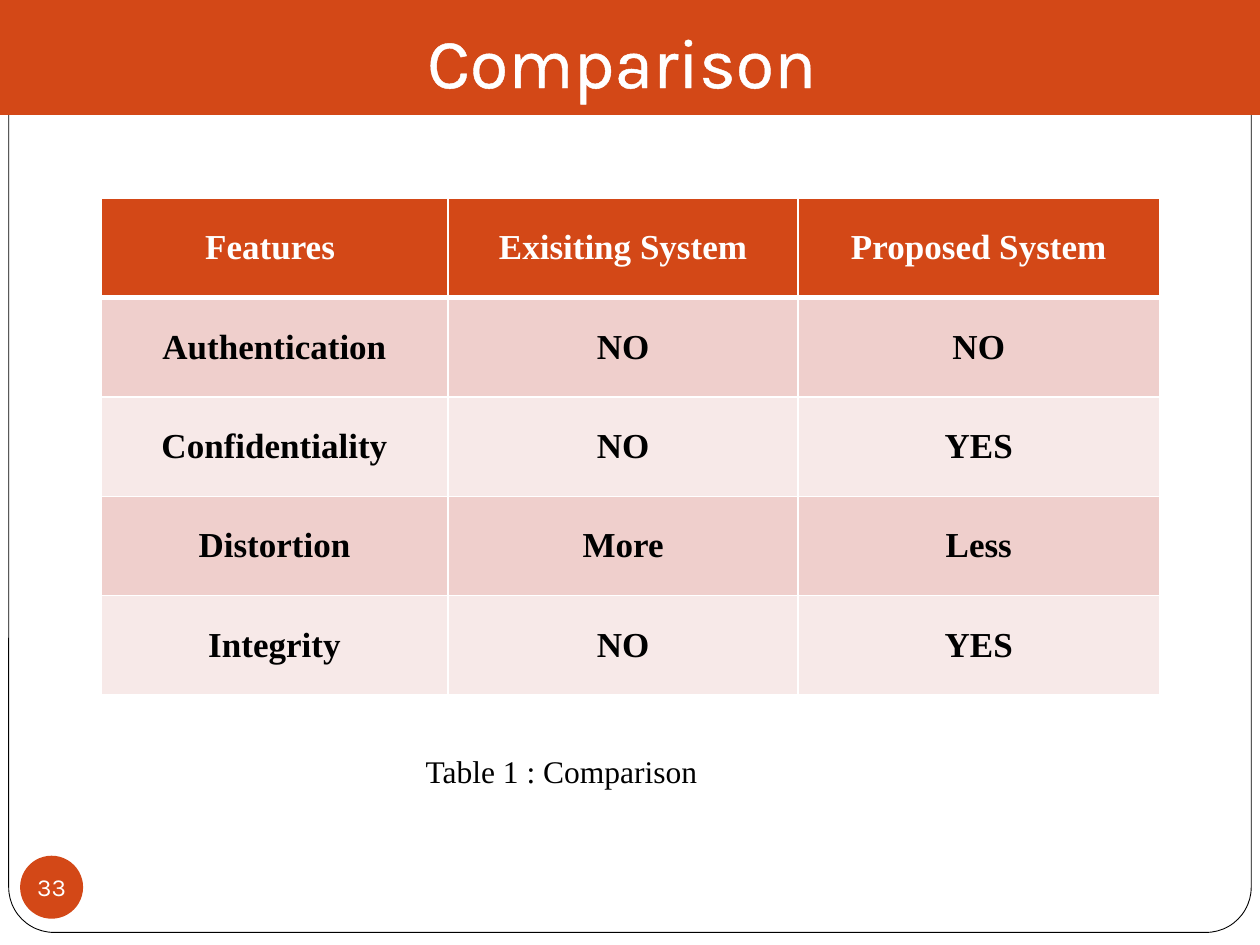
"""Build a slide with a table comparing the existing and proposed systems."""
from lxml import etree
from pptx import Presentation
from pptx import util as u
from pptx.dml import color
from pptx.enum import shapes, text
from pptx.oxml import ns

ORANGE, WHITE, BLACK = "D34817", "FFFFFF", "000000"
BANDS = ("EFCFCC", "F7E9E8")
SANS, SERIF = "Karla", "Times New Roman"
CENTER = text.PP_ALIGN.CENTER
MIDDLE = text.MSO_ANCHOR.MIDDLE

ROWS = (
    ("Features ", "Exisiting System", "Proposed System"),
    ("Authentication", "NO", "NO"),
    ("Confidentiality", "NO", "YES"),
    ("Distortion", "More", "Less"),
    ("Integrity", "NO", "YES"),
)


def rgb(value):
    return color.RGBColor.from_string(value)


def add_line(parent, tag, width, value, index):
    line = etree.Element(ns.qn(tag), w=str(u.Pt(width)))
    fill = etree.SubElement(line, ns.qn("a:solidFill"))
    etree.SubElement(fill, ns.qn("a:srgbClr"), val=value)
    parent.insert(index, line)


class Painter:
    def __init__(self, deck):
        self.page = deck.slides.add_slide(deck.slide_layouts[5])

    def place(self, shape, left, top, width, height):
        shape.left, shape.top = u.Pt(left), u.Pt(top)
        shape.width, shape.height = u.Pt(width), u.Pt(height)

    def paint(self, shape, fill, line=None, weight=0):
        shape.fill.solid()
        shape.fill.fore_color.rgb = rgb(fill)
        if line:
            shape.line.color.rgb = rgb(line)
            shape.line.width = u.Pt(weight)
        else:
            shape.line.fill.background()

    def add_words(self, frame, words, size, font, ink, bold=False, align=None):
        para = frame.paragraphs[0]
        para.alignment = align
        span = para.add_run()
        span.text = words
        span.font.size = u.Pt(size)
        span.font.name = font
        span.font.bold = bold
        span.font.color.rgb = rgb(ink)
        return span

    def inset(self, frame, left, top, right, bottom):
        frame.margin_left, frame.margin_top = u.Pt(left), u.Pt(top)
        frame.margin_right, frame.margin_bottom = u.Pt(right), u.Pt(bottom)

    def shape(self, kind, area, fill, line=None, weight=0):
        shape = self.page.shapes.add_shape(kind, *map(u.Pt, area))
        shape.shadow.inherit = False
        self.paint(shape, fill, line, weight)
        return shape

    def title(self, words, area):
        title = self.page.shapes.title
        self.place(title, *area)
        self.paint(title, ORANGE, ORANGE, 0.75)
        frame = title.text_frame
        frame.auto_size = text.MSO_AUTO_SIZE.NONE
        frame.vertical_anchor = text.MSO_ANCHOR.BOTTOM
        self.inset(frame, 7.2, 3.6, 7.2, 7.2)
        span = self.add_words(frame, words, 40, SANS, WHITE, align=CENTER)
        add_line(span._r.get_or_add_rPr(), "a:ln", 1.45, WHITE, 0)
        indent = frame.paragraphs[0]._p.get_or_add_pPr()
        indent.set("marL", str(u.Pt(21.6)))
        indent.set("indent", str(u.Pt(-21.6)))

    def frame(self, area):
        border = self.shape(shapes.MSO_SHAPE.ROUNDED_RECTANGLE, area, WHITE, BLACK, 0.5)
        border.adjustments[0] = 0.049
        self.page.shapes.title.element.addprevious(border.element)

    def badge(self, words, area):
        frame = self.shape(shapes.MSO_SHAPE.OVAL, area, ORANGE).text_frame
        frame.word_wrap = False
        frame.vertical_anchor = MIDDLE
        self.inset(frame, 0, 0, 0, 0)
        self.add_words(frame, words, 14, SANS, WHITE, align=CENTER)

    def table(self, rows, left, top, widths, row_height):
        area = (left, top, sum(widths), row_height * len(rows))
        holder = self.page.shapes.add_table(len(rows), len(widths), *map(u.Pt, area))
        table = holder.table
        for column, width in zip(table.columns, widths):
            column.width = u.Pt(width)
        for r, row in enumerate(rows):
            table.rows[r].height = u.Pt(row_height)
            fill, ink = (BANDS[(r - 1) % 2], BLACK) if r else (ORANGE, WHITE)
            edges = {"L": 1, "R": 1, "T": 3 if r == 1 else 1, "B": 1 if r else 3}
            for c, words in enumerate(row):
                self.cell(table.cell(r, c), words, fill, ink, edges)

    def cell(self, cell, words, fill, ink, edges):
        cell.vertical_anchor = MIDDLE
        self.add_words(cell.text_frame, words, 20, SERIF, ink, True, CENTER)
        for index, (side, weight) in enumerate(edges.items()):
            add_line(cell._tc.get_or_add_tcPr(), f"a:ln{side}", weight, WHITE, index)
        cell.fill.solid()
        cell.fill.fore_color.rgb = rgb(fill)

    def caption(self, words, area):
        box = self.page.shapes.add_textbox(*map(u.Pt, area))
        box.text_frame.word_wrap = True
        self.add_words(box.text_frame, words, 18, SERIF, BLACK)


def main():
    deck = Presentation()
    deck.slide_width, deck.slide_height = u.Pt(720), u.Pt(540)
    painter = Painter(deck)
    painter.title("Comparison ", (0, 0, 720, 65.5))
    painter.frame((5, 5.8, 710, 527))
    painter.badge("33", (11.5, 489, 36, 36))
    painter.table(ROWS, 57.6, 113.3, (198.5, 200, 206.5), 56.8)
    painter.caption("Table 1 : Comparison", (236.2, 426.2, 256.3, 29))
    deck.save("out.pptx")


if __name__ == "__main__":
    main()
